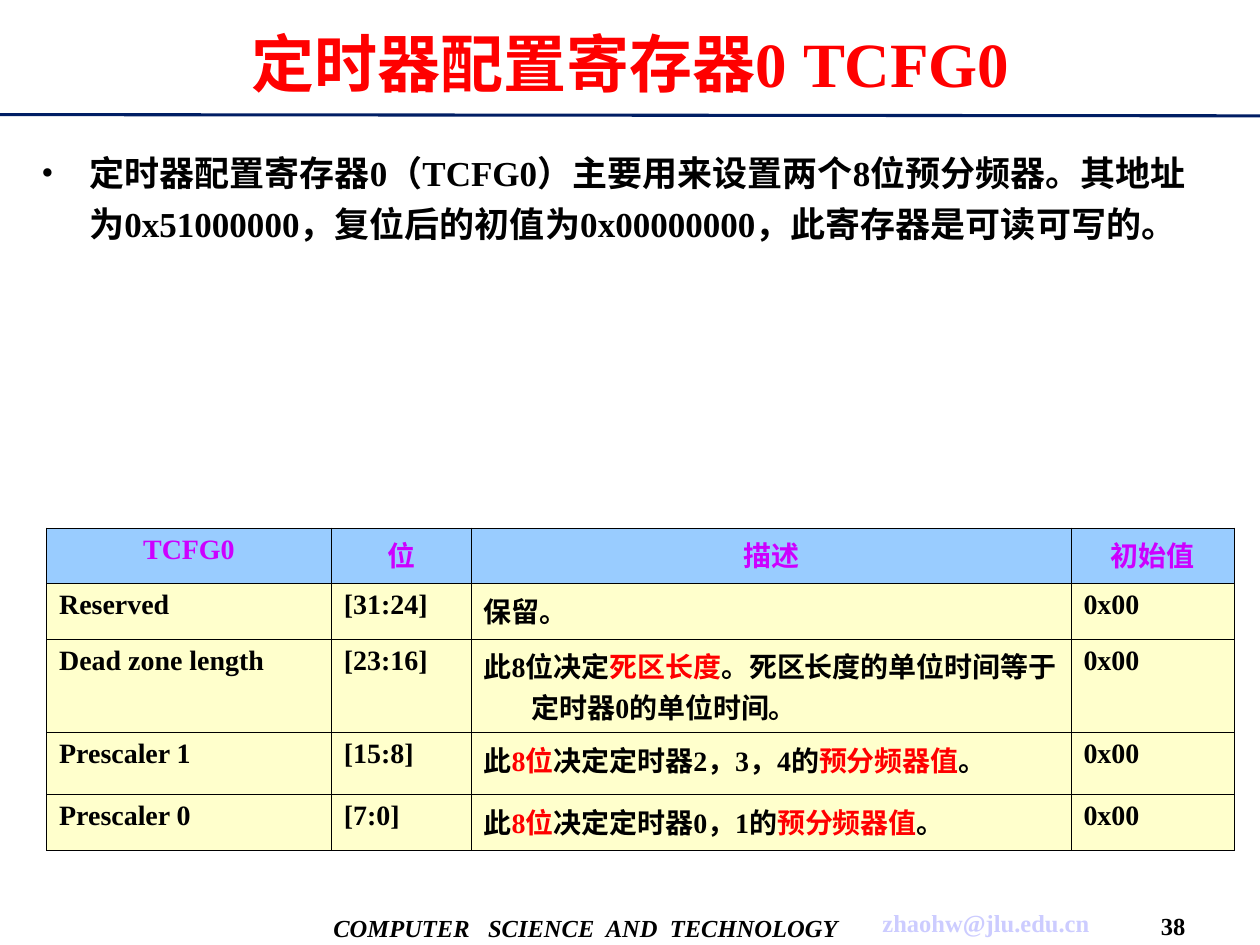
from lxml import etree
from pptx import Presentation
from pptx import util as u
from pptx.dml.color import RGBColor
from pptx.enum import shapes, text
from pptx.oxml.ns import qn

WIDE, HIGH = u.Inches(10), u.Inches(7.5)
FONT = "Times New Roman"
BLACK = RGBColor(0, 0, 0)
RED = RGBColor(0xFF, 0, 0)
NAVY = RGBColor(0, 0x1E, 0x64)
LILAC = RGBColor(0xCC, 0xCC, 0xFF)
PURPLE = RGBColor(0xCC, 0, 0xFF)
BLUE = RGBColor(0x99, 0xCC, 0xFF)
CREAM = RGBColor(0xFF, 0xFF, 0xCC)

COLS = (2.26, 1.11, 4.76, 1.3)
ROWS = (0.44, 0.44, 0.74, 0.49, 0.44)
CELLS = (
    ("TCFG0", "位", "描述", "初始值"),
    ("Reserved", "[31:24]", "保留。", "0x00"),
    ("Dead zone length", "[23:16]",
     "此8位决定|死区长度|。死区长度的单位时间等于定时器0的单位时间。", "0x00"),
    ("Prescaler 1", "[15:8]", "此|8位|决定定时器2，3，4的|预分频器值|。", "0x00"),
    ("Prescaler 0", "[7:0]", "此|8位|决定定时器0，1的|预分频器值|。", "0x00"),
)


def scale(x, y, w, h):
    """Turn percentages of the slide into a box of lengths."""
    return [int(part * full / 100)
            for part, full in zip((x, y, w, h), (WIDE, HIGH, WIDE, HIGH))]


def style(run, size, tint):
    """Format one run in the bold deck font."""
    font = run.font
    font.name, font.size, font.bold = FONT, u.Pt(size), True
    font.color.rgb = tint


def hang(para):
    """Give a paragraph a hanging indent and return its properties."""
    props = para._p.get_or_add_pPr()
    props.set("marL", str(u.Inches(0.38)))
    props.set("indent", str(u.Inches(-0.38)))
    props.set("hangingPunct", "0")
    return props


def add_title(slide, box):
    """Place the heading in the title placeholder."""
    title = slide.shapes.title
    title.left, title.top, title.width, title.height = box
    frame = title.text_frame
    frame.text = "定时器配置寄存器0 TCFG0"
    frame.auto_size = text.MSO_AUTO_SIZE.NONE
    frame.vertical_anchor = text.MSO_ANCHOR.MIDDLE
    para = frame.paragraphs[0]
    para.alignment = text.PP_ALIGN.CENTER
    style(para.runs[0], 36, RED)


def add_rule(slide, box):
    """Draw the rule below the heading."""
    x, y, w, h = box
    rule = slide.shapes.add_connector(
        shapes.MSO_CONNECTOR.STRAIGHT, x, y, x + w, y + h)
    rule.line.color.rgb = NAVY
    rule.line.width = u.Pt(1.75)
    etree.SubElement(rule._element.spPr, qn("a:effectLst"))


def add_body(slide, box):
    """Write the bulleted paragraph."""
    frame = slide.shapes.add_textbox(*box).text_frame
    frame.word_wrap = True
    frame.text = ("定时器配置寄存器0（TCFG0）主要用来设置两个8位预分频器。其地址为"
                  "0x51000000，复位后的初值为0x00000000，此寄存器是可读可写的。")
    para = frame.paragraphs[0]
    props = hang(para)
    etree.SubElement(props, qn("a:buFont")).set("typeface", FONT)
    etree.SubElement(props, qn("a:buChar")).set("char", "•")
    para.line_spacing = 1.2
    style(para.runs[0], 20, BLACK)


def edge(cell):
    """Draw thin black borders round a cell."""
    props = cell._tc.get_or_add_tcPr()
    for side in ("lnL", "lnR", "lnT", "lnB"):
        line = etree.SubElement(props, qn("a:" + side))
        line.set("w", str(u.Pt(0.45)))
        fill = etree.SubElement(line, qn("a:solidFill"))
        etree.SubElement(fill, qn("a:srgbClr")).set("val", str(BLACK))


def fill_cell(cell, words, head):
    """Write a cell, with every second part between bars in red."""
    edge(cell)
    cell.fill.solid()
    cell.fill.fore_color.rgb = BLUE if head else CREAM
    para = cell.text_frame.paragraphs[0]
    hang(para)
    if head:
        para.alignment = text.PP_ALIGN.CENTER
    for i, part in enumerate(words.split("|")):
        run = para.add_run()
        run.text = part
        style(run, 16, PURPLE if head else RED if i % 2 else BLACK)


def add_grid(slide, box):
    """Build the register table, sharing the box by column and row."""
    grid = slide.shapes.add_table(len(ROWS), len(COLS), *box).table
    for col, part in zip(grid.columns, COLS):
        col.width = int(box[2] * part / sum(COLS))
    for row, part in zip(grid.rows, ROWS):
        row.height = int(box[3] * part / sum(ROWS))
    for r, line in enumerate(CELLS):
        for c, words in enumerate(line):
            fill_cell(grid.cell(r, c), words, r == 0)


def add_note(slide, box, words, tint=BLACK, slant=False):
    """Write one centred footer item on a single line."""
    frame = slide.shapes.add_textbox(*box).text_frame
    frame.word_wrap = False
    frame.margin_left = frame.margin_right = 0
    frame.vertical_anchor = text.MSO_ANCHOR.MIDDLE
    frame.text = words
    para = frame.paragraphs[0]
    para.alignment = text.PP_ALIGN.CENTER
    style(para.runs[0], 14, tint)
    para.runs[0].font.italic = slant


def main():
    """Build the slide and save it."""
    deck = Presentation()
    deck.slide_width, deck.slide_height = WIDE, HIGH
    slide = deck.slides.add_slide(deck.slide_layouts[5])
    add_rule(slide, scale(0, 12.13, 100, 0.13))
    add_note(slide, scale(26, 95.33, 41, 5.6),
             "COMPUTER   SCIENCE  AND  TECHNOLOGY", slant=True)
    add_note(slide, scale(69.2, 95.2, 18.1, 4.8), "zhaohw@jlu.edu.cn", LILAC)
    add_note(slide, scale(90.9, 95.87, 4.4, 4.13), "38")
    add_title(slide, scale(3.2, 1.07, 93.7, 11.07))
    add_body(slide, scale(2.3, 14.53, 94.5, 80.67))
    add_grid(slide, scale(3.7, 55.87, 94.3, 34.1))
    deck.save("out.pptx")


if __name__ == "__main__":
    main()
